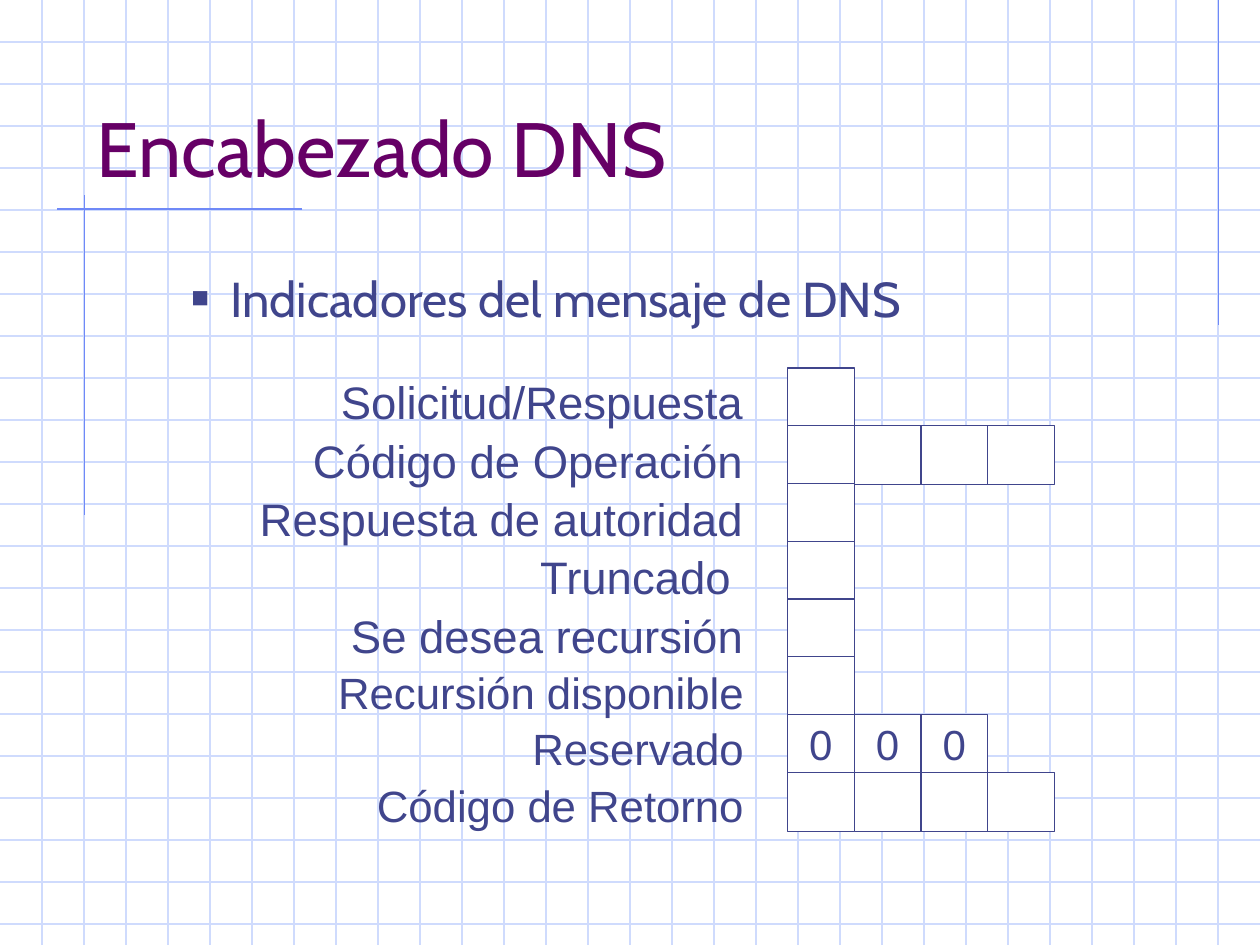
import math

import lxml.etree
import pptx
import pptx.dml.color
import pptx.enum.shapes
import pptx.enum.text
import pptx.oxml.ns
import pptx.util

Inches = pptx.util.Inches
ALIGN = pptx.enum.text.PP_ALIGN
ANCHOR = pptx.enum.text.MSO_ANCHOR

WIDTH, HEIGHT = 10, 7.5
GRID, ACCENT, INK, PURPLE, WHITE = "CFDBFD", "6F89F7", "40458C", "660066", "FFFFFF"
FLAGS = [
    ("Solicitud/Respuesta", 26, [""]),
    ("Código de Operación", 26, [""] * 4),
    ("Respuesta de autoridad", 26, [""]),
    ("Truncado ", 26, [""]),
    ("Se desea recursión", 26, [""]),
    ("Recursión disponible", 25, [""]),
    ("Reservado", 25, ["0"] * 3),
    ("Código de Retorno", 25, [""] * 4),
]
BITS_LEFT, BITS_TOP, BITS_BOTTOM = 6.25, 2.92, 6.13
BIT_WIDTH, BIT_HEIGHT = 0.53, 0.47


def rgb(value):
    """Return the colour for a hex string."""
    return pptx.dml.color.RGBColor.from_string(value)


def set_line(s, color):
    """Give an outline its colour and the common width."""
    s.line.color.rgb = rgb(color)
    s.line.width = pptx.util.Pt(0.75)


def add_line(sp, x1, y1, x2, y2, color):
    """Draw a straight line without a shadow."""
    s = sp.add_connector(pptx.enum.shapes.MSO_CONNECTOR.STRAIGHT,
                         Inches(x1), Inches(y1), Inches(x2), Inches(y2))
    set_line(s, color)
    lxml.etree.SubElement(s.element.spPr, pptx.oxml.ns.qn("a:effectLst"))


def add_arc(sp, cx, cy, radius, start, end, color):
    """Draw an open circular arc between two angles in degrees."""
    points = [(cx + radius * math.cos(math.radians(a)),
               cy + radius * math.sin(math.radians(a)))
              for a in range(start, end + 1, 6)]
    builder = sp.build_freeform(*points[0], scale=Inches(1))
    builder.add_line_segments(points[1:], close=False)
    s = builder.convert_to_shape()
    s.shadow.inherit = False
    s.fill.background()
    set_line(s, color)


def add_textbox(sp, x, y, w, h, anchor=ANCHOR.TOP):
    """Add a wrapping text box and return its text frame."""
    tf = sp.add_textbox(Inches(x), Inches(y), Inches(w), Inches(h)).text_frame
    tf.word_wrap = True
    tf.vertical_anchor = anchor
    return tf


def add_text(tf, text, size, font="Arial", color=INK, align=ALIGN.LEFT, before=0):
    """Write a formatted paragraph and return it."""
    p = tf.paragraphs[-1]
    if p.runs:
        p = tf.add_paragraph()
    p.alignment = align
    p.space_before = pptx.util.Pt(before)
    r = p.add_run()
    r.text = text
    r.font.size = pptx.util.Pt(size)
    r.font.name = font
    r.font.color.rgb = rgb(color)
    return p


def add_bullet(p, char, percent, color, margin, hanging):
    """Give a paragraph a bullet with a hanging indent."""
    qn = pptx.oxml.ns.qn
    props = p._p.get_or_add_pPr()
    props.set("marL", str(Inches(margin)))
    props.set("indent", str(-Inches(hanging)))
    fill = lxml.etree.SubElement(props, qn("a:buClr"))
    lxml.etree.SubElement(fill, qn("a:srgbClr"), val=color)
    lxml.etree.SubElement(props, qn("a:buSzPct"), val=str(percent * 1000))
    lxml.etree.SubElement(props, qn("a:buFont"), typeface="Arial")
    lxml.etree.SubElement(props, qn("a:buChar"), char=char)


def add_bit(sp, x, y, value):
    """Draw one bit cell with its value, if any."""
    s = sp.add_shape(pptx.enum.shapes.MSO_SHAPE.RECTANGLE, Inches(x), Inches(y),
                     Inches(BIT_WIDTH), Inches(BIT_HEIGHT))
    s.shadow.inherit = False
    s.fill.solid()
    s.fill.fore_color.rgb = rgb(WHITE)
    set_line(s, INK)
    if value:
        tf = s.text_frame
        tf.word_wrap = False
        tf.vertical_anchor = ANCHOR.MIDDLE
        add_text(tf, value, 24, align=ALIGN.CENTER)


def add_background(sp):
    """Draw the squared paper and the accent lines."""
    for i in range(1, 23):
        add_line(sp, 0, i / 3, WIDTH, i / 3, GRID)
    for i in range(1, 30):
        add_line(sp, i / 3, 0, i / 3, HEIGHT, GRID)
    add_line(sp, 9.67, 0, 9.67, 2.58, ACCENT)
    add_line(sp, 2.4, 1.66, 0.45, 1.66, ACCENT)
    add_line(sp, 0.67, 1.55, 0.67, 4.09, ACCENT)
    add_arc(sp, 0.67, 1.66, 0.11, 0, 270, ACCENT)


def add_flags(sp):
    """List the flags beside their rows of bits."""
    tf = add_textbox(sp, 1.67, BITS_TOP, 4.33, 3.73)
    pitch = (BITS_BOTTOM - BITS_TOP) / (len(FLAGS) - 1)
    for row, (name, size, bits) in enumerate(FLAGS):
        add_text(tf, name, size, align=ALIGN.RIGHT, before=2.2 if size == 26 else 2.1)
        for column, value in enumerate(bits):
            add_bit(sp, BITS_LEFT + column * BIT_WIDTH, BITS_TOP + row * pitch, value)


def main():
    """Build and save the slide."""
    prs = pptx.Presentation()
    prs.slide_width, prs.slide_height = Inches(WIDTH), Inches(HEIGHT)
    sp = prs.slides.add_slide(prs.slide_layouts[6]).shapes
    add_background(sp)
    title = add_textbox(sp, 0.67, 0.33, 8.5, 1.25, anchor=ANCHOR.BOTTOM)
    add_text(title, "Encabezado DNS", 44, font="Cabin", color=PURPLE)
    body = add_textbox(sp, 0.92, 2.08, 8.5, 4.5)
    p = add_text(body, "Indicadores del mensaje de DNS", 28, font="Cabin", before=7)
    add_bullet(p, "■", 60, INK, 0.81, 0.31)
    add_flags(sp)
    prs.save("out.pptx")


if __name__ == "__main__":
    main()
